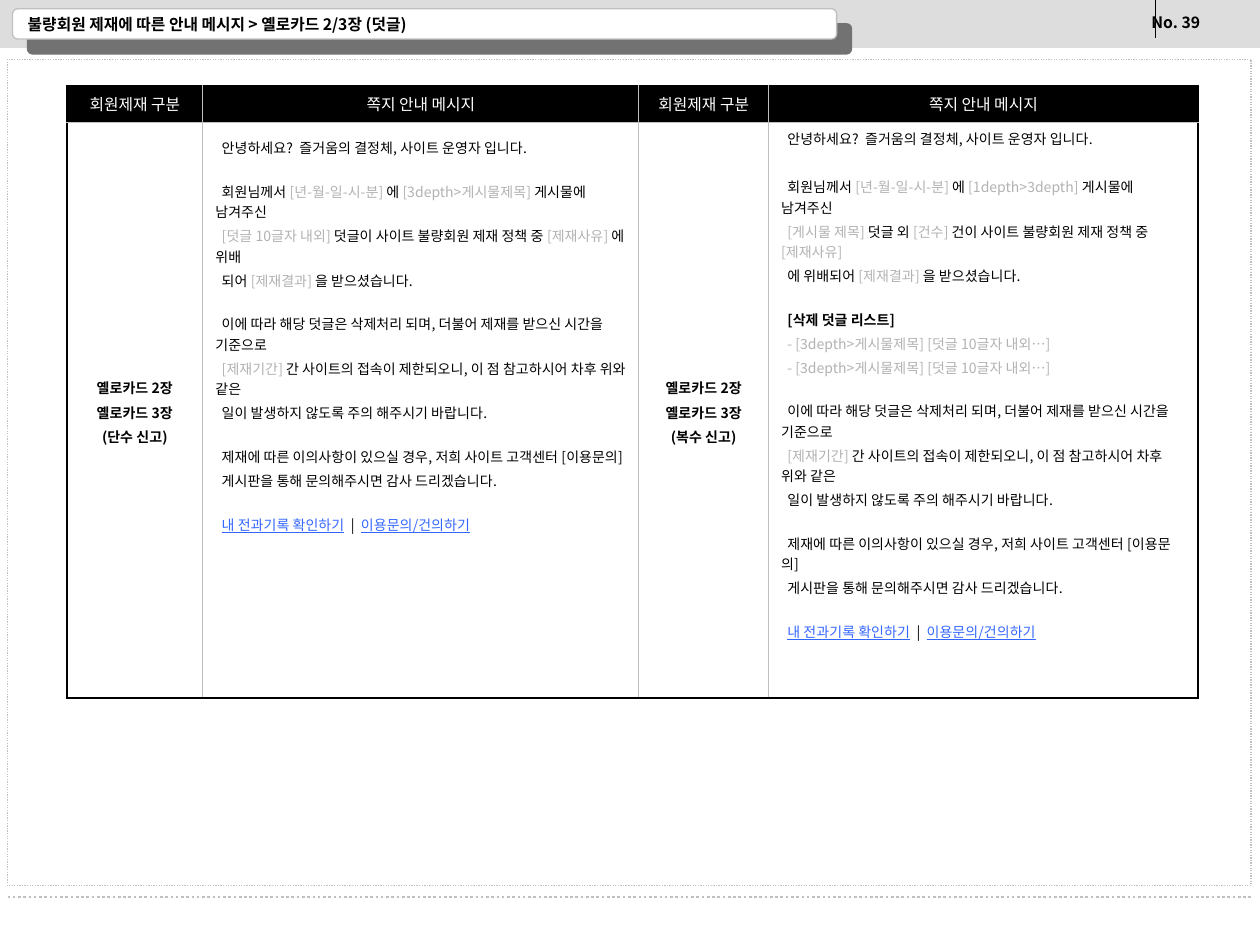
from lxml.etree import SubElement
from pptx import Presentation
from pptx.dml.color import RGBColor
from pptx.enum.dml import MSO_LINE
from pptx.enum.shapes import MSO_CONNECTOR, MSO_SHAPE
from pptx.enum.text import MSO_ANCHOR, MSO_AUTO_SIZE, PP_ALIGN
from pptx.oxml.ns import qn
from pptx.util import Inches, Pt

DOT = MSO_LINE.ROUND_DOT
LEFT, CENTER = PP_ALIGN.LEFT, PP_ALIGN.CENTER
TOP, MIDDLE = MSO_ANCHOR.TOP, MSO_ANCHOR.MIDDLE
FONT = "Noto Sans CJK KR"
BLACK, WHITE, RULE = "000000", "FFFFFF", "C0C0C0"
GREY, BLUE = "B2B2B2", "3366FF"
U = Inches(0.01)
GAP, WIDE = 13.4, 15.8


def hue(code):
    return RGBColor.from_string(code)


def write(par, text, size, code=BLACK, bold=False, line=False):
    run = par.add_run()
    run.text = text
    font = run.font
    font.size, font.bold, font.underline = Pt(size), bold, line
    font.color.rgb = hue(code)
    font.name = FONT
    SubElement(run._r.get_or_add_rPr(), qn("a:ea"), typeface=FONT)


deck = Presentation()
deck.slide_width, deck.slide_height = U * 1000, U * 750
slide = deck.slides.add_slide(deck.slide_layouts[5])
shapes = slide.shapes

bar = shapes.add_shape(MSO_SHAPE.RECTANGLE, 0, 0, U * 1000, U * 38)
bar.shadow.inherit = False
bar.fill.solid()
bar.fill.fore_color.rgb = hue("DDDDDD")
bar.line.fill.background()

frame = shapes.add_shape(MSO_SHAPE.RECTANGLE, U * 6, U * 47, U * 987, U * 656)
box = shapes.add_shape(MSO_SHAPE.ROUNDED_RECTANGLE, U * 10, U * 7, U * 654, U * 24)
box.adjustments[0] = 0.167
for item in (frame, box):
    item.shadow.inherit = False
    item.fill.solid()
    item.fill.fore_color.rgb = hue(WHITE)
    item.line.color.rgb = hue(RULE)
    item.line.width = Pt(0.75)
frame.line.dash_style = DOT
glow = SubElement(box.element.spPr.find(qn("a:effectLst")), qn("a:outerShdw"),
                  dist=str(Pt(12.1)), dir="2700000", algn="ctr", rotWithShape="0")
SubElement(glow, qn("a:srgbClr"), val="727272")

for x, y, right, low, code, thick, dash in (
    (917, 0, 917, 30, BLACK, 0.75, None),
    (6, 712, 994, 712, RULE, 1.5, DOT),
):
    rod = shapes.add_connector(MSO_CONNECTOR.STRAIGHT, U * x, U * y, U * right, U * low)
    rod.line.color.rgb = hue(code)
    rod.line.width = Pt(thick)
    rod.line.dash_style = dash
    SubElement(rod.element.spPr, qn("a:effectLst"))

title = shapes.title
title.left, title.top, title.width, title.height = U * 12, U * 10, U * 542, U * 18
box.element.addnext(title.element)
body = title.text_frame
body.auto_size, body.word_wrap = MSO_AUTO_SIZE.NONE, True
body.vertical_anchor = MIDDLE
body.paragraphs[0].alignment = LEFT
write(body.paragraphs[0], "불량회원 제재에 따른 안내 메시지 > 옐로카드 2/3장 (덧글)", 9, bold=True)

page = shapes.add_textbox(U * 904, U * 5, U * 108, U * 28).text_frame
page.word_wrap = False
write(page.paragraphs[0], "No. 39", 9, bold=True)

hello = (0, [("안녕하세요?  즐거움의 결정체, 사이트 운영자 입니다.",)])
date = [("회원님께서 ",), ("[년-월-일-시-분] ", GREY), ("에 ",)]
left = ("게시물에 남겨주신",)
fate = [("[제재결과] ", GREY), ("을 받으셨습니다.",)]
lost = (2, [("- [3depth>게시물제목] [덧글 10글자 내외…]", GREY)])
close = [
    (GAP, [("이에 따라 해당 덧글은 삭제처리 되며, 더불어 제재를 받으신 시간을 기준으로",)]),
    (2, [("[제재기간] ", GREY),
         ("간 사이트의 접속이 제한되오니, 이 점 참고하시어 차후 위와 같은",)]),
    (2, [("일이 발생하지 않도록 주의 해주시기 바랍니다.",)]),
    (GAP, [("제재에 따른 이의사항이 있으실 경우, 저희 사이트 고객센터 [이용문의]",)]),
    (2, [("게시판을 통해 문의해주시면 감사 드리겠습니다.",)]),
    (GAP, [("내 전과기록 확인하기", BLUE, False, True), ("  |  ",),
           ("이용문의/건의하기", BLUE, False, True)]),
]
single = [
    hello,
    (GAP, date + [("[3depth>게시물제목] ", GREY), left]),
    (2, [("[덧글 10글자 내외] ", GREY), ("덧글이 사이트 불량회원 제재 정책 중 ",),
         ("[제재사유] ", GREY), ("에 위배",)]),
    (2, [("되어 ",)] + fate),
] + close
plural = [
    hello,
    (WIDE, date + [("[1depth>3depth] ", GREY), left]),
    (2, [("[게시물 제목] ", GREY), ("덧글 외 ",), ("[건수] ", GREY),
         ("건이 사이트 불량회원 제재 정책 중 ",), ("[제재사유]", GREY)]),
    (2, [("에 위배되어 ",)] + fate),
    (GAP, [("[삭제 덧글 리스트]", BLACK, True)]),
    lost,
    lost,
] + close

cols, rows = (108, 346, 103, 341), (29, 457)
grid = shapes.add_table(2, 4, U * 53, U * 68, U * sum(cols), U * sum(rows)).table
grid.first_row = grid.horz_banding = False
for n, wide in enumerate(cols):
    grid.columns[n].width = U * wide
for n, high in enumerate(rows):
    grid.rows[n].height = U * high

for row in range(2):
    for col in range(4):
        cell = grid.cell(row, col)
        edge = cell._tc.get_or_add_tcPr()
        for side, outer in (("L", col == 0), ("R", col == 3), ("T", row == 0), ("B", row == 1)):
            rim = SubElement(edge, qn("a:ln" + side), w=str(Pt(1.08 if outer else 0.45)))
            ink = SubElement(rim, qn("a:solidFill"))
            SubElement(ink, qn("a:srgbClr"), val=BLACK if outer else RULE)
        cell.fill.background()
        cell.vertical_anchor = MIDDLE

for col, text in enumerate(("회원제재 구분", "쪽지 안내 메시지") * 2):
    cell = grid.cell(0, col)
    cell.fill.solid()
    cell.fill.fore_color.rgb = hue(BLACK)
    par = cell.text_frame.paragraphs[0]
    par.alignment, par.space_before = CENTER, Pt(2.2)
    write(par, text, 9, WHITE)

for col, kind, note, pad in ((0, "(단수 신고)", single, 12), (2, "(복수 신고)", plural, 5)):
    body = grid.cell(1, col).text_frame
    for n, text in enumerate(("옐로카드 2장", "옐로카드 3장", kind)):
        par = body.add_paragraph() if n else body.paragraphs[0]
        par.alignment, par.line_spacing = CENTER, 1.2
        write(par, text, 8, bold=True)
    cell = grid.cell(1, col + 1)
    cell.vertical_anchor, cell.margin_top = TOP, U * pad
    body = cell.text_frame
    for n, (gap, runs) in enumerate(note):
        par = body.add_paragraph() if n else body.paragraphs[0]
        par.alignment, par.space_before = LEFT, Pt(gap)
        props = par._p.get_or_add_pPr()
        props.set("marL", "0")
        props.set("indent", str(U * 5))
        for text, *look in runs:
            write(par, text, 8, *look)

deck.save("out.pptx")
